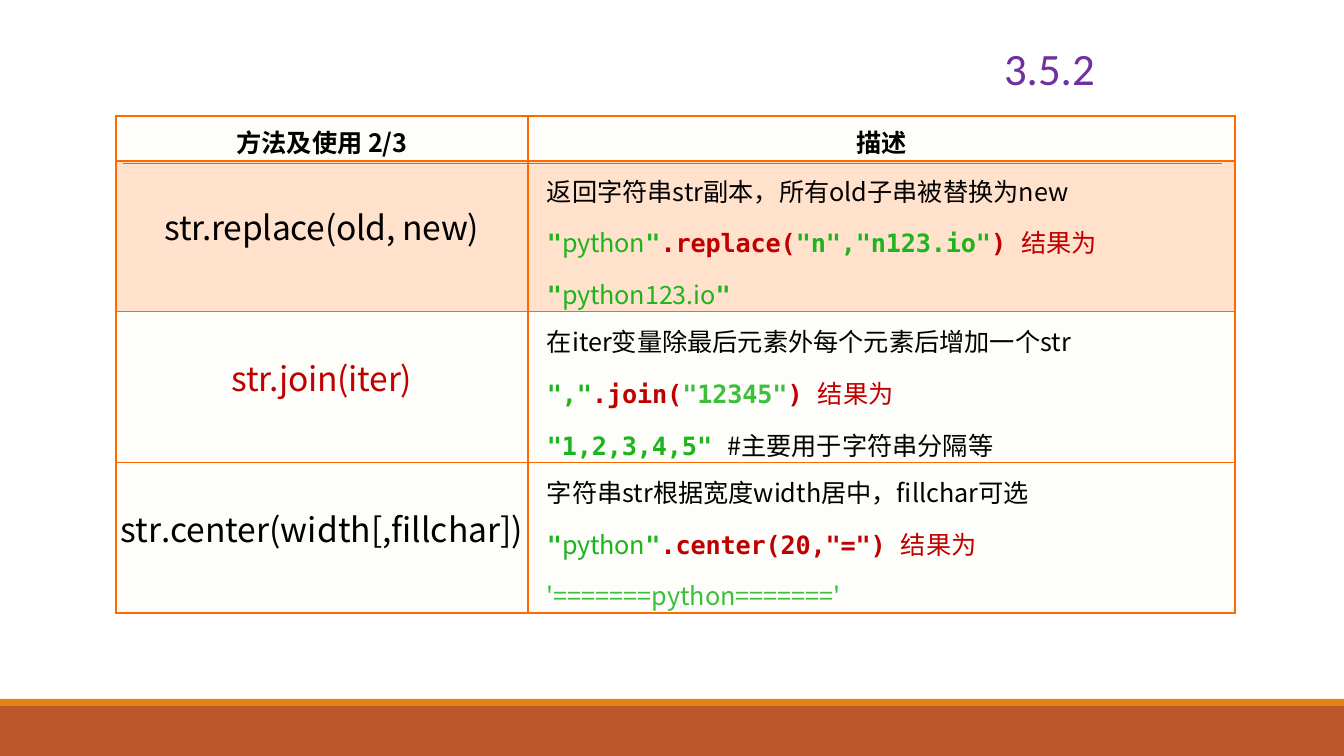
import pptx
import pptx.util
import pptx.dml.color
import pptx.enum.shapes
import pptx.enum.text
import pptx.oxml
import pptx.oxml.ns

RGBColor = pptx.dml.color.RGBColor
BLACK = RGBColor(0x00, 0x00, 0x00)
RED = RGBColor(0xC0, 0x00, 0x00)
GREEN = RGBColor(0x1D, 0xB4, 0x1D)
LIGHT_GREEN = RGBColor(0x3D, 0xBE, 0x3C)
PURPLE = RGBColor(0x70, 0x30, 0xA0)
ORANGE = RGBColor(0xFF, 0x69, 0x00)
CREAM = RGBColor(0xFD, 0xFD, 0xF9)
RUST = RGBColor(0xBD, 0x58, 0x2C)
AMBER = RGBColor(0xE4, 0x83, 0x12)
GREY = RGBColor(0x80, 0x80, 0x80)

SANS = "Noto Sans CJK SC"
MONO = "DejaVu Sans Mono"
CENTER = pptx.enum.text.PP_ALIGN.CENTER
LEFT = pptx.enum.text.PP_ALIGN.LEFT

# style: font, colour, bold, size, letter spacing in points
STYLES = {
    "heading": (SANS, BLACK, True, 18, 0),
    "method": (SANS, BLACK, False, 24, 0),
    "method_tight": (SANS, BLACK, False, 24, -0.2),
    "method_kern": (SANS, BLACK, False, 24, -1.8),
    "method_red": (SANS, RED, False, 24, -0.2),
    "plain": (SANS, BLACK, False, 18, 0),
    "result": (SANS, RED, False, 18, 0),
    "value": (SANS, GREEN, False, 18, -0.1),
    "output": (SANS, LIGHT_GREEN, False, 18, 0),
    "call": (MONO, RED, True, 18, -0.1),
    "string": (MONO, GREEN, True, 18, -0.1),
    "digits": (MONO, LIGHT_GREEN, True, 18, -0.1),
    "number": ("Calibri", PURPLE, False, 32, 0),
}

HEADINGS = ["方法及使用 2/3", "描述"]
METHODS = [
    (
        [("str.replace(old, new)", "method_tight")],
        [
            [("返回字符串str副本，所有old子串被替换为new", "plain")],
            [('"', "string"), ("python", "value"), ('"', "string"), (".replace(", "call"),
             ('"n","n123.io"', "string"), (") ", "call"), ("结果为", "result")],
            [('"', "string"), ("python123.io", "value"), ('"', "string")],
        ],
    ),
    (
        [("str.join(iter)", "method_red")],
        [
            [("在iter变量除最后元素外每个元素后增加一个str", "plain")],
            [('","', "string"), (".join(", "call"), ('"12345"', "digits"),
             (") ", "call"), ("结果为", "result")],
            [('"1,2,3,4,5" ', "string"), ("#主要用于字符串分隔等", "plain")],
        ],
    ),
    (
        [("st", "method"), ("r", "method_kern"), (".center(width[,fillchar])", "method")],
        [
            [("字符串str根据宽度width居中，fillchar可选", "plain")],
            [('"', "string"), ("python", "value"), ('"', "string"),
             ('.center(20,"=") ', "call"), ("结果为", "result")],
            [("'=======python======='", "output")],
        ],
    ),
]


def px(length):
    return pptx.util.Emu(round(length * 914400 / 100.8))


def add_run(paragraph, text, style):
    font_name, color, bold, size, spacing = STYLES[style]
    run = paragraph.add_run()
    run.text = text
    run.font.name = font_name
    run.font.size = pptx.util.Pt(size)
    run.font.bold = bold
    run.font.color.rgb = color
    properties = run.font._element
    if spacing:
        properties.set("spc", str(round(spacing * 100)))
    east_asian = properties.makeelement(pptx.oxml.ns.qn("a:ea"), {"typeface": SANS})
    properties.find(pptx.oxml.ns.qn("a:latin")).addnext(east_asian)


def write_lines(text_frame, lines, alignment, gap=0):
    for index, line in enumerate(lines):
        paragraph = text_frame.paragraphs[0] if index == 0 else text_frame.add_paragraph()
        paragraph.alignment = alignment
        if index:
            paragraph.space_before = pptx.util.Pt(gap)
        for text, style in line:
            add_run(paragraph, text, style)


def add_band(slide, top, height, color):
    shape = slide.shapes.add_shape(
        pptx.enum.shapes.MSO_SHAPE.RECTANGLE, 0, px(top), px(1344), px(height))
    shape.shadow.inherit = False
    shape.fill.solid()
    shape.fill.fore_color.rgb = color
    shape.line.fill.background()


def add_rule(slide, left, right, y):
    connector = slide.shapes.add_connector(
        pptx.enum.shapes.MSO_CONNECTOR.STRAIGHT, px(left), px(y), px(right), px(y))
    connector.line.color.rgb = GREY
    connector.line.width = pptx.util.Pt(0.5)
    properties = connector._element.spPr
    properties.append(properties.makeelement(pptx.oxml.ns.qn("a:effectLst"), {}))


def set_borders(cell, top_width, bottom_width):
    properties = cell._tc.get_or_add_tcPr()
    widths = {"lnL": 1, "lnR": 1, "lnT": top_width, "lnB": bottom_width}
    for index, (side, width) in enumerate(widths.items()):
        border = pptx.oxml.parse_xml(
            f'<a:{side} {pptx.oxml.ns.nsdecls("a")} w="{pptx.util.Pt(width)}">'
            f'<a:solidFill><a:srgbClr val="{ORANGE}"/></a:solidFill></a:{side}>')
        properties.insert(index, border)


def fill_cell(cell, lines, alignment, left, top, row, gap=0):
    cell.margin_left, cell.margin_top = px(left), px(top)
    cell.margin_right = cell.margin_bottom = 0
    cell.fill.solid()
    cell.fill.fore_color.rgb = ORANGE if row == 1 else CREAM
    if row == 1:
        color = cell._tc.tcPr.find(".//" + pptx.oxml.ns.qn("a:srgbClr"))
        color.append(color.makeelement(pptx.oxml.ns.qn("a:alpha"), {"val": "20000"}))
    set_borders(cell, 2.25 if row == 1 else 1, 2.25 if row == 0 else 1)
    write_lines(cell.text_frame, lines, alignment, gap)


def add_method_table(slide):
    widths, heights = [412, 707], [45] + [140] * len(METHODS)
    table = slide.shapes.add_table(
        len(heights), len(widths), px(116), px(116), px(sum(widths)), px(sum(heights))).table
    table.first_row = table.horz_banding = False
    for column, width in zip(table.columns, widths):
        column.width = px(width)
    for row, height in zip(table.rows, heights):
        row.height = px(height)
    for column, heading in enumerate(HEADINGS):
        fill_cell(table.cell(0, column), [[(heading, "heading")]], CENTER, 0, 7, 0)
    for row, (method, description) in enumerate(METHODS, 1):
        fill_cell(table.cell(row, 0), [method], CENTER, 0, 41, row)
        fill_cell(table.cell(row, 1), description, LEFT, 19, 11, row, 10.8)


def add_section_number(slide):
    text_frame = slide.shapes.add_textbox(px(974), px(36), px(151), px(65)).text_frame
    text_frame.word_wrap = True
    write_lines(text_frame, [[("3.5.2", "number")]], CENTER)


def main():
    presentation = pptx.Presentation()
    presentation.slide_width, presentation.slide_height = px(1344), px(756)
    slide = presentation.slides.add_slide(presentation.slide_layouts[6])
    add_band(slide, 706, 50, RUST)
    add_band(slide, 699, 7, AMBER)
    add_rule(slide, 123, 1222, 163)
    add_method_table(slide)
    add_section_number(slide)
    presentation.save("out.pptx")


if __name__ == "__main__":
    main()
